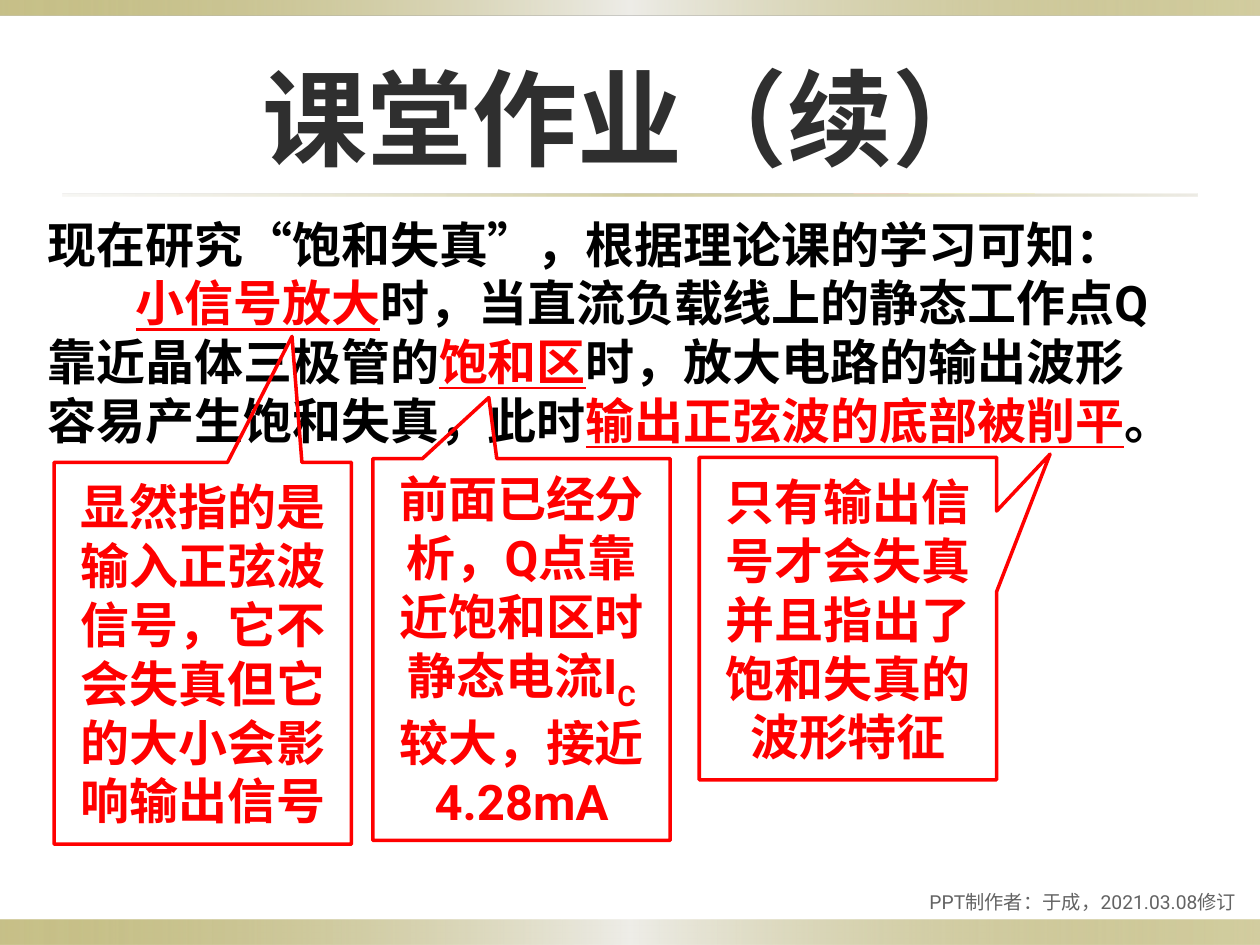
from lxml import etree
from pptx import Presentation
from pptx.dml.color import RGBColor
from pptx.enum import lang, shapes, text
from pptx.oxml import ns
from pptx.util import Inches, Pt

FONT = "Roboto"
BLACK = RGBColor(0, 0, 0)
RED = RGBColor(255, 0, 0)
CHARCOAL = RGBColor(0x2F, 0x2F, 0x2F)
GREY = RGBColor(0x63, 0x63, 0x63)
OLIVE = RGBColor(0x91, 0x84, 0x15)
PALE = RGBColor(0xEE, 0xED, 0xE8)
SAND = RGBColor(0xDC, 0xD9, 0xCC)
BAND_STOPS = [(0, OLIVE, 50), (50, PALE, 100), (100, OLIVE, 40)]
DIVIDER_STOPS = [(0, SAND, 20), (50, OLIVE, 40), (100, SAND, 50)]


def add_run(paragraph, wording, size, color, bold=True, underline=False, baseline=0):
    """Append one formatted run to a paragraph."""
    run = paragraph.add_run()
    run.text = wording
    font = run.font
    font.name, font.size, font.bold = FONT, Pt(size), bold
    font.color.rgb = color
    font.language_id = lang.MSO_LANGUAGE_ID.SIMPLIFIED_CHINESE
    if underline:
        font.underline = True
    if baseline:
        run._r.get_or_add_rPr().set("baseline", str(baseline * 1000))


def add_band(slide, box, stops):
    """Draw a borderless strip with a horizontal gradient of (position, colour, opacity)."""
    band = slide.shapes.add_shape(shapes.MSO_SHAPE.RECTANGLE, *map(Inches, box))
    band.shadow.inherit = False
    band.line.fill.background()
    band.fill.gradient()
    band.fill.gradient_angle = 0
    stop_list = band._element.spPr.find(".//" + ns.qn("a:gsLst"))
    for old_stop in list(stop_list):
        stop_list.remove(old_stop)
    for position, color, opacity in stops:
        stop = etree.SubElement(stop_list, ns.qn("a:gs"), pos=str(position * 1000))
        tint = etree.SubElement(stop, ns.qn("a:srgbClr"), val=str(color))
        etree.SubElement(tint, ns.qn("a:alpha"), val=str(opacity * 1000))


def place_title(slide, box, wording):
    """Move and format the title placeholder."""
    title = slide.shapes.title
    title.left, title.top, title.width, title.height = map(Inches, box)
    title.text_frame.vertical_anchor = text.MSO_ANCHOR.MIDDLE
    heading = title.text_frame.paragraphs[0]
    heading.alignment = text.PP_ALIGN.CENTER
    add_run(heading, wording, 60, CHARCOAL)


def add_credit(slide, box, wording):
    """Write the right-aligned footer line."""
    frame = slide.shapes.add_textbox(*map(Inches, box)).text_frame
    frame.word_wrap = True
    frame.vertical_anchor = text.MSO_ANCHOR.MIDDLE
    credit = frame.paragraphs[0]
    credit.alignment = text.PP_ALIGN.RIGHT
    add_run(credit, wording, 11, GREY, bold=False)


def add_statement(slide, box, opening, phrases):
    """Write the opening line and an indented paragraph of (wording, is_key) phrases."""
    frame = slide.shapes.add_textbox(*map(Inches, box)).text_frame
    frame.word_wrap = True
    add_run(frame.paragraphs[0], opening, 28, BLACK)
    statement = frame.add_paragraph()
    statement._p.get_or_add_pPr().set("indent", str(Inches(0.7)))
    for wording, is_key in phrases:
        add_run(statement, wording, 28, RED if is_key else BLACK, underline=is_key)


def add_callout(slide, box, pointer, pieces):
    """Draw a red callout with its pointer tip and (wording, baseline) pieces."""
    callout = slide.shapes.add_shape(
        shapes.MSO_SHAPE.RECTANGULAR_CALLOUT, *map(Inches, box))
    callout.shadow.inherit = False
    callout.fill.background()
    callout.line.color.rgb = RED
    callout.line.width = Pt(2)
    callout.adjustments[0], callout.adjustments[1] = pointer
    frame = callout.text_frame
    frame.word_wrap = True
    frame.vertical_anchor = text.MSO_ANCHOR.MIDDLE
    remark = frame.paragraphs[0]
    remark.alignment = text.PP_ALIGN.CENTER
    for wording, baseline in pieces:
        add_run(remark, wording, 28, RED, baseline=baseline)


def main():
    """Build the classwork slide."""
    deck = Presentation()
    deck.slide_width, deck.slide_height = Inches(10), Inches(7.5)
    slide = deck.slides.add_slide(deck.slide_layouts[5])
    add_band(slide, (0, 7.3, 10, 0.2), BAND_STOPS)
    add_band(slide, (0, 0, 10, 0.12), BAND_STOPS)
    add_band(slide, (0.5, 1.54, 9, 0.02), DIVIDER_STOPS)
    place_title(slide, (0.5, 0.3, 9, 1.25), "课堂作业（续）")
    add_credit(slide, (5.83, 7, 4.08, 0.31), "PPT制作者：于成，2021.03.08修订")
    add_statement(
        slide, (0.28, 1.65, 9.06, 1.99),
        "现在研究“饱和失真”，根据理论课的学习可知：",
        [("小信号放大", True),
         ("时，当直流负载线上的静态工作点Q靠近晶体三极管的", False),
         ("饱和区", True),
         ("时，放大电路的输出波形容易产生饱和失真，此时", False),
         ("输出正弦波的底部被削平", True),
         ("。", False)])
    callouts = [
        ((0.43, 3.67, 2.36, 3.03), (0.3, -0.83),
         [("显然指的是输入正弦波信号，它不会失真但它的大小会影响输出信号", 0)]),
        ((2.96, 3.64, 2.36, 3.03), (-0.11, -0.66),
         [("前面已经分析，Q点靠近饱和区时静态电流I", 0), ("C", -25),
          ("较大，接近4.28mA", 0)]),
        ((5.55, 3.63, 2.36, 2.56), (0.68, -0.51),
         [("只有输出信号才会失真并且指出了饱和失真的波形特征", 0)]),
    ]
    for box, pointer, pieces in callouts:
        add_callout(slide, box, pointer, pieces)
    deck.save("out.pptx")


if __name__ == "__main__":
    main()
